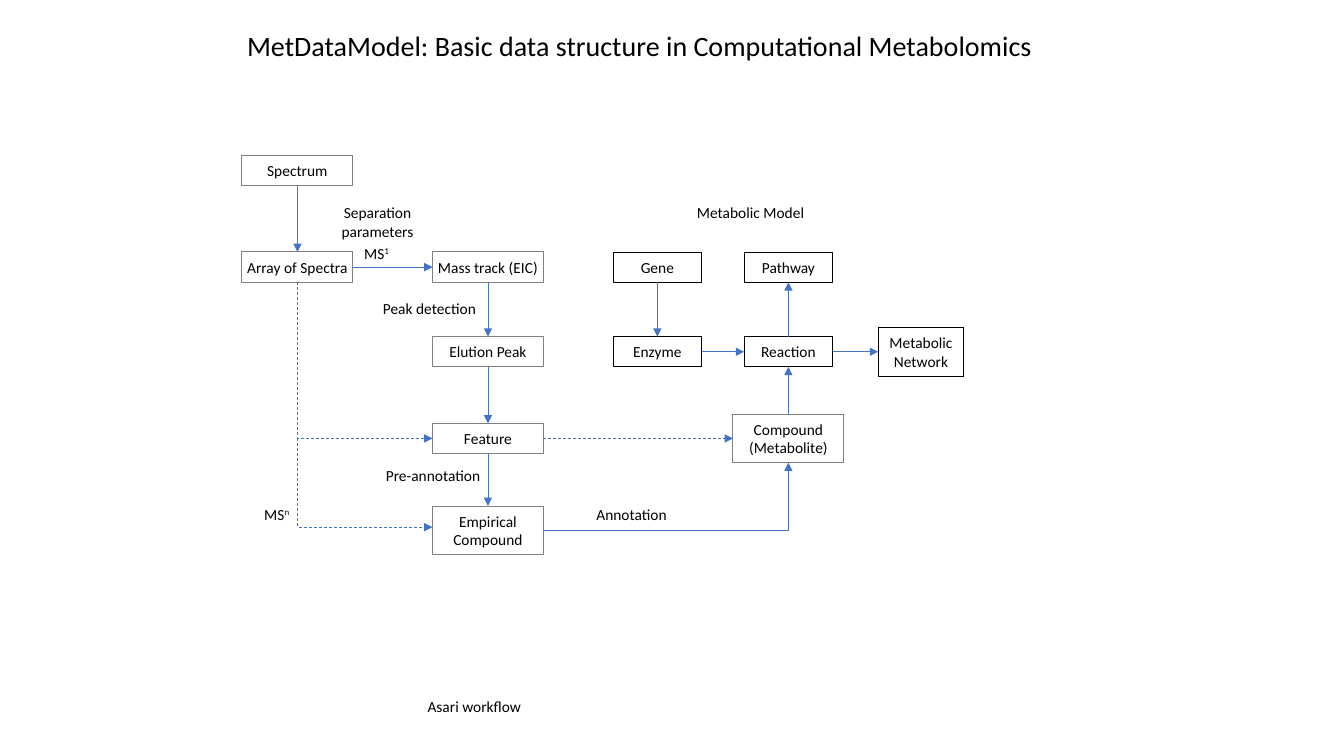
from lxml import etree
from pptx import Presentation
from pptx import util as u
from pptx.dml.color import RGBColor
from pptx.enum import dml, shapes, text
from pptx.oxml.ns import qn

PX = 9144  # 100 px to the inch
FONT = "Calibri"
BLACK = RGBColor(0x00, 0x00, 0x00)
GREY = RGBColor(0x80, 0x80, 0x80)
BLUE = RGBColor(0x44, 0x72, 0xC4)
TOP, LEFT, BOTTOM, RIGHT = range(4)

# Column left edges
ARRAY, TRACK, GENE, PATH = 240, 429, 608, 738
# Name: (left, top, width, height, line colour, line width); \v breaks a line
BOXES = {
    "Spectrum": (ARRAY, 154, 110, 30, GREY, 0.75),
    "Array of Spectra": (ARRAY, 250, 110, 30, GREY, 0.75),
    "Mass track (EIC)": (TRACK, 250, 110, 30, GREY, 0.75),
    "Elution Peak": (TRACK, 334, 110, 30, GREY, 0.75),
    "Feature": (TRACK, 420, 110, 30, GREY, 0.75),
    "Empirical\vCompound": (TRACK, 502, 110, 48, GREY, 0.75),
    "Compound\n(Metabolite)": (727, 411, 110, 48, GREY, 0.75),
    "Gene": (GENE, 250, 88, 30, BLACK, 0.5),
    "Enzyme": (GENE, 334, 88, 30, BLACK, 0.5),
    "Pathway": (PATH, 250, 88, 30, BLACK, 0.5),
    "Reaction": (PATH, 334, 88, 30, BLACK, 0.5),
    "Metabolic\vNetwork": (871, 325, 85, 48, BLACK, 0.5),
}
# Text, superscript, left, top, width
LABELS = [
    ("Separation parameters", "", 298, 197, 153),
    ("Metabolic Model", "", 676, 197, 137),
    ("Peak detection", "", 368, 292, 116),
    ("Pre-annotation", "", 370, 458, 119),
    ("Annotation", "", 580, 496, 93),
    ("Asari workflow", "", 402, 687, 137),
    ("MS", "1", 350, 237, 47),
    ("MS", "n", 251, 496, 47),
]
ARROWS = [
    ("Spectrum", BOTTOM, "Array of Spectra", TOP),
    ("Array of Spectra", RIGHT, "Mass track (EIC)", LEFT),
    ("Mass track (EIC)", BOTTOM, "Elution Peak", TOP),
    ("Elution Peak", BOTTOM, "Feature", TOP),
    ("Feature", BOTTOM, "Empirical\vCompound", TOP),
    ("Gene", BOTTOM, "Enzyme", TOP),
    ("Enzyme", RIGHT, "Reaction", LEFT),
    ("Reaction", TOP, "Pathway", BOTTOM),
    ("Reaction", RIGHT, "Metabolic\vNetwork", LEFT),
    ("Compound\n(Metabolite)", TOP, "Reaction", BOTTOM),
]


def style(frame, size=11, align=text.PP_ALIGN.CENTER):
    for par in frame.paragraphs:
        par.alignment = align
        for run in par.runs:
            run.font.name = FONT
            run.font.size = u.Pt(size)
            run.font.color.rgb = BLACK


def add_title(slide, words):
    title = slide.shapes.title
    title.left, title.top, title.width, title.height = (
        n * PX for n in (235, 23, 807, 44))
    frame = title.text_frame
    frame.text = words
    frame.auto_size = text.MSO_AUTO_SIZE.NONE
    frame.vertical_anchor = text.MSO_ANCHOR.TOP
    style(frame, 20, text.PP_ALIGN.LEFT)


def add_box(slide, words, left, top, width, height, color, weight):
    box = slide.shapes.add_shape(
        shapes.MSO_SHAPE.RECTANGLE, *(n * PX for n in (left, top, width, height)))
    box.shadow.inherit = False
    box.fill.background()
    box.line.color.rgb = color
    box.line.width = u.Pt(weight)
    frame = box.text_frame
    frame.text = words
    frame.word_wrap = False
    frame.vertical_anchor = text.MSO_ANCHOR.MIDDLE
    style(frame)
    return box


def add_label(slide, words, power, left, top, width):
    label = slide.shapes.add_textbox(*(n * PX for n in (left, top, width, 30)))
    frame = label.text_frame
    frame.text = words
    frame.word_wrap = False
    if power:
        run = frame.paragraphs[0].add_run()
        run.text = power
        run.font._element.set("baseline", "30000")
    style(frame)


def add_wire(slide, kind, start=(0, 0), end=(0, 0), dashed=False):
    """Add a thin blue connector with an arrowhead at its end."""
    wire = slide.shapes.add_connector(kind, *(int(n * PX) for n in (*start, *end)))
    wire.line.color.rgb = BLUE
    wire.line.width = u.Pt(0.5)
    if dashed:
        wire.line.dash_style = dml.MSO_LINE.DASH
    props = wire._element.spPr
    etree.SubElement(props.find(qn("a:ln")), qn("a:tailEnd"), type="triangle")
    etree.SubElement(props, qn("a:effectLst"))
    return wire


def add_arrow(slide, first, side, last, goal, dashed=False):
    wire = add_wire(slide, shapes.MSO_CONNECTOR.STRAIGHT, dashed=dashed)
    wire.begin_connect(first, side)
    wire.end_connect(last, goal)


def add_elbow(slide, start, end, down=False):
    """Add a one-corner arrow; a down one is dashed and drops before it turns."""
    if down:
        # Swap width and height about the centre, then turn by 270 degrees
        mid_x, mid_y = (start[0] + end[0]) / 2, (start[1] + end[1]) / 2
        half_w, half_h = (end[0] - start[0]) / 2, (end[1] - start[1]) / 2
        start = mid_x + half_h, mid_y - half_w
        end = mid_x - half_h, mid_y + half_w
    wire = add_wire(slide, shapes.MSO_CONNECTOR.ELBOW, start, end, down)
    props = wire._element.spPr
    props.find(qn("a:prstGeom")).set("prst", "bentConnector2")
    if down:
        props.find(qn("a:xfrm")).set("rot", str(270 * 60000))


def main():
    deck = Presentation()
    deck.slide_width, deck.slide_height = 1333 * PX, 750 * PX
    slide = deck.slides.add_slide(deck.slide_layouts[5])
    add_title(slide, "MetDataModel: Basic data structure in Computational Metabolomics")
    boxes = {name: add_box(slide, name, *spec) for name, spec in BOXES.items()}
    for first, side, last, goal in ARROWS:
        add_arrow(slide, boxes[first], side, boxes[last], goal)
    add_arrow(slide, boxes["Feature"], RIGHT,
              boxes["Compound\n(Metabolite)"], LEFT, dashed=True)
    add_elbow(slide, (295, 280), (429, 435), down=True)
    add_elbow(slide, (295, 435), (429, 523), down=True)
    add_elbow(slide, (539, 526), (782, 459))
    for label in LABELS:
        add_label(slide, *label)
    deck.save("out.pptx")


if __name__ == "__main__":
    main()
